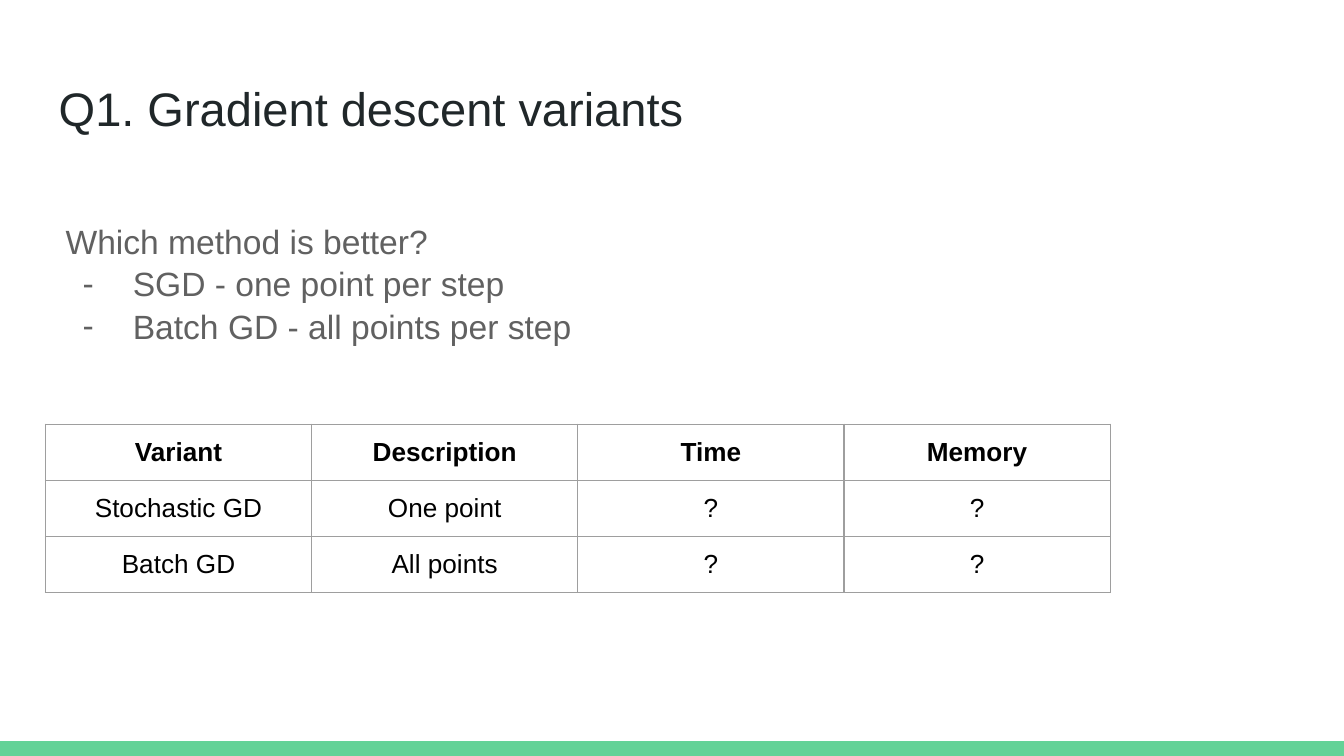
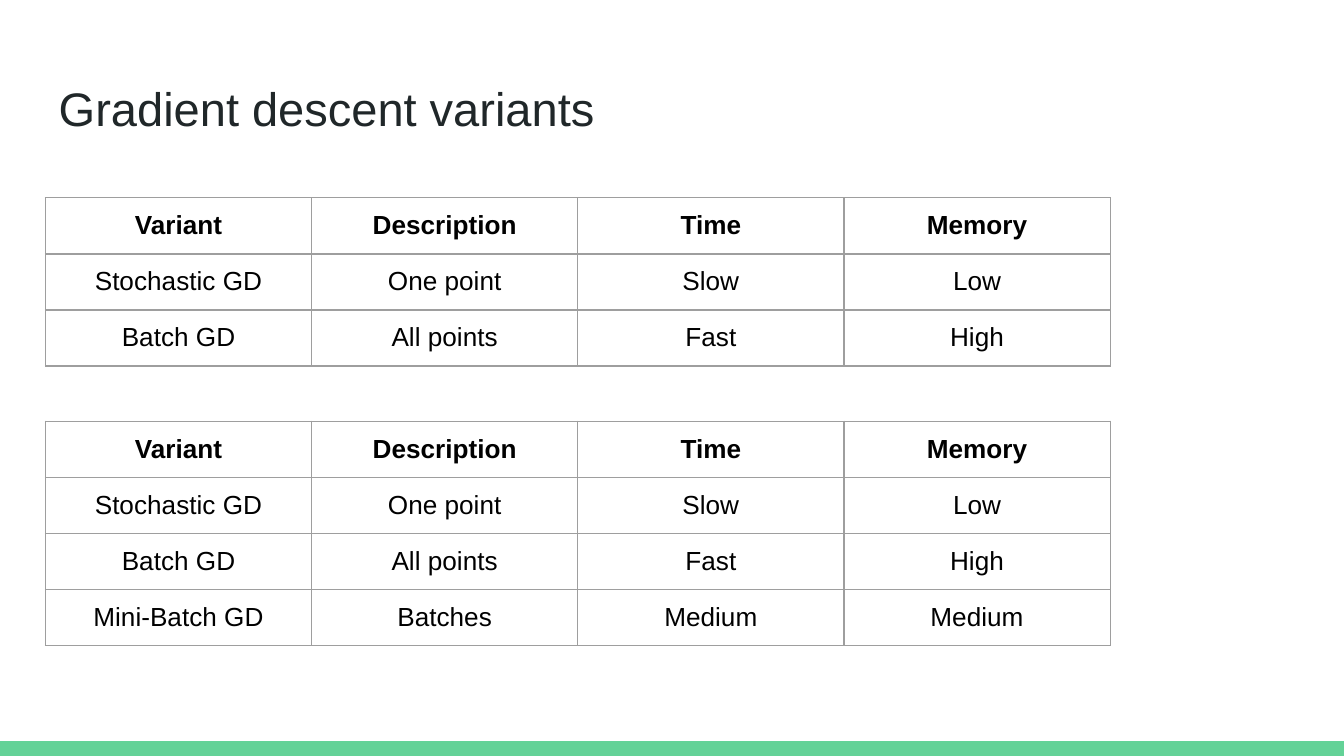
import pptx
import pptx.dml.color
import pptx.enum.shapes
import pptx.enum.text
import pptx.oxml.ns
import pptx.util
from lxml import etree
from pptx.util import Cm

RGBColor = pptx.dml.color.RGBColor
qn = pptx.oxml.ns.qn

GREEN = RGBColor(0x63, 0xD2, 0x97)
INK = RGBColor(0x20, 0x27, 0x29)
GREY = RGBColor(0x61, 0x61, 0x61)
BLACK = RGBColor(0, 0, 0)
RULE = RGBColor(0x9E, 0x9E, 0x9E)

FONT = "Arial"
LEFT = pptx.enum.text.PP_ALIGN.LEFT
CENTER = pptx.enum.text.PP_ALIGN.CENTER
SLIDE_WIDTH, SLIDE_HEIGHT = Cm(25.4), Cm(14.29)
BAND_HEIGHT = Cm(0.28)
MARGIN = Cm(0.86)
INSET = Cm(0.25)
COLUMN_WIDTH, ROW_HEIGHT = Cm(5.03), Cm(1.06)

TITLE_AND_BODY, TITLE_ONLY = 1, 5

HEADINGS = ["Variant", "Description", "Time", "Memory"]
OPEN_QUESTION = [
    HEADINGS,
    ["Stochastic GD", "One point", "?", "?"],
    ["Batch GD", "All points", "?", "?"],
]
TWO_VARIANTS = [
    HEADINGS,
    ["Stochastic GD", "One point", "Slow", "Low"],
    ["Batch GD", "All points", "Fast", "High"],
]
THREE_VARIANTS = TWO_VARIANTS + [["Mini-Batch GD", "Batches", "Medium", "Medium"]]


class Deck:
    def __init__(self):
        self.presentation = pptx.Presentation()
        self.presentation.slide_width = SLIDE_WIDTH
        self.presentation.slide_height = SLIDE_HEIGHT
        self.slide = None

    def start(self, layout, heading):
        """Add a slide with its bottom band and title."""
        layouts = self.presentation.slide_layouts
        self.slide = self.presentation.slides.add_slide(layouts[layout])
        self.band()
        self.title(heading)

    def band(self):
        band = self.slide.shapes.add_shape(
            pptx.enum.shapes.MSO_SHAPE.RECTANGLE,
            0, SLIDE_HEIGHT - BAND_HEIGHT, SLIDE_WIDTH, BAND_HEIGHT)
        band.shadow.inherit = False
        band.fill.solid()
        band.fill.fore_color.rgb = GREEN
        band.line.fill.background()

    def place(self, holder, left, top, width, height, anchor):
        holder.left, holder.top = left, top
        holder.width, holder.height = width, height
        frame = holder.text_frame
        frame.word_wrap = True
        frame.auto_size = pptx.enum.text.MSO_AUTO_SIZE.NONE
        frame.vertical_anchor = anchor
        self.inset(frame)
        return frame

    def inset(self, frame):
        frame.margin_left = frame.margin_right = INSET
        frame.margin_top = frame.margin_bottom = INSET

    def add_text(self, paragraph, words, size, color, bold=False, align=LEFT):
        paragraph.alignment = align
        run = paragraph.add_run()
        run.text = words
        run.font.name = FONT
        run.font.size = pptx.util.Pt(size)
        run.font.bold = bold
        run.font.color.rgb = color

    def title(self, heading):
        frame = self.place(self.slide.shapes.title, MARGIN, Cm(1.24),
                           SLIDE_WIDTH - 2 * MARGIN, Cm(1.6),
                           pptx.enum.text.MSO_ANCHOR.MIDDLE)
        self.add_text(frame.paragraphs[0], heading, 25.2, INK)

    def question(self, prompt, options):
        """Fill the body with a prompt followed by dashed options."""
        frame = self.place(self.slide.placeholders[1], Cm(0.99), Cm(3.89),
                           Cm(11.15), Cm(2.82), pptx.enum.text.MSO_ANCHOR.TOP)
        for index, words in enumerate([prompt] + options):
            paragraph = frame.add_paragraph() if index else frame.paragraphs[0]
            self.bullet(paragraph, dashed=index > 0)
            paragraph.space_before = pptx.util.Pt(0)
            paragraph.line_spacing = 1.05
            self.add_text(paragraph, words, 18, GREY)

    def bullet(self, paragraph, dashed):
        properties = paragraph._p.get_or_add_pPr()
        properties.set("marL", str(Cm(1.27) if dashed else 0))
        properties.set("indent", str(-Cm(0.95) if dashed else 0))
        if dashed:
            color = etree.SubElement(properties, qn("a:buClr"))
            etree.SubElement(color, qn("a:srgbClr"), val=str(GREY))
            etree.SubElement(properties, qn("a:buChar"), char="-")
        else:
            etree.SubElement(properties, qn("a:buNone"))

    def table(self, top, rows):
        grid = self.slide.shapes.add_table(
            len(rows), len(HEADINGS), MARGIN, top,
            COLUMN_WIDTH * len(HEADINGS), ROW_HEIGHT * len(rows)).table
        grid.first_row = grid.horz_banding = False
        for column in grid.columns:
            column.width = COLUMN_WIDTH
        for r, entries in enumerate(rows):
            grid.rows[r].height = ROW_HEIGHT
            for c, words in enumerate(entries):
                cell = grid.cell(r, c)
                self.inset(cell)
                self.borders(cell)
                cell.fill.background()
                self.add_text(cell.text_frame.paragraphs[0], words, 14, BLACK,
                              bold=r == 0, align=CENTER)

    def borders(self, cell):
        properties = cell._tc.get_or_add_tcPr()
        for side in ("lnL", "lnR", "lnT", "lnB"):
            line = etree.SubElement(properties, qn("a:" + side),
                                    w=str(pptx.util.Pt(0.75)))
            fill = etree.SubElement(line, qn("a:solidFill"))
            etree.SubElement(fill, qn("a:srgbClr"), val=str(RULE))


def main():
    deck = Deck()

    deck.start(TITLE_AND_BODY, "Q1. Gradient descent variants")
    deck.question("Which method is better?",
                  ["SGD - one point per step", "Batch GD - all points per step"])
    deck.table(Cm(8.02), OPEN_QUESTION)

    deck.start(TITLE_ONLY, "Gradient descent variants")
    deck.table(Cm(3.74), TWO_VARIANTS)
    deck.table(Cm(7.96), THREE_VARIANTS)

    deck.presentation.save("out.pptx")


if __name__ == "__main__":
    main()
